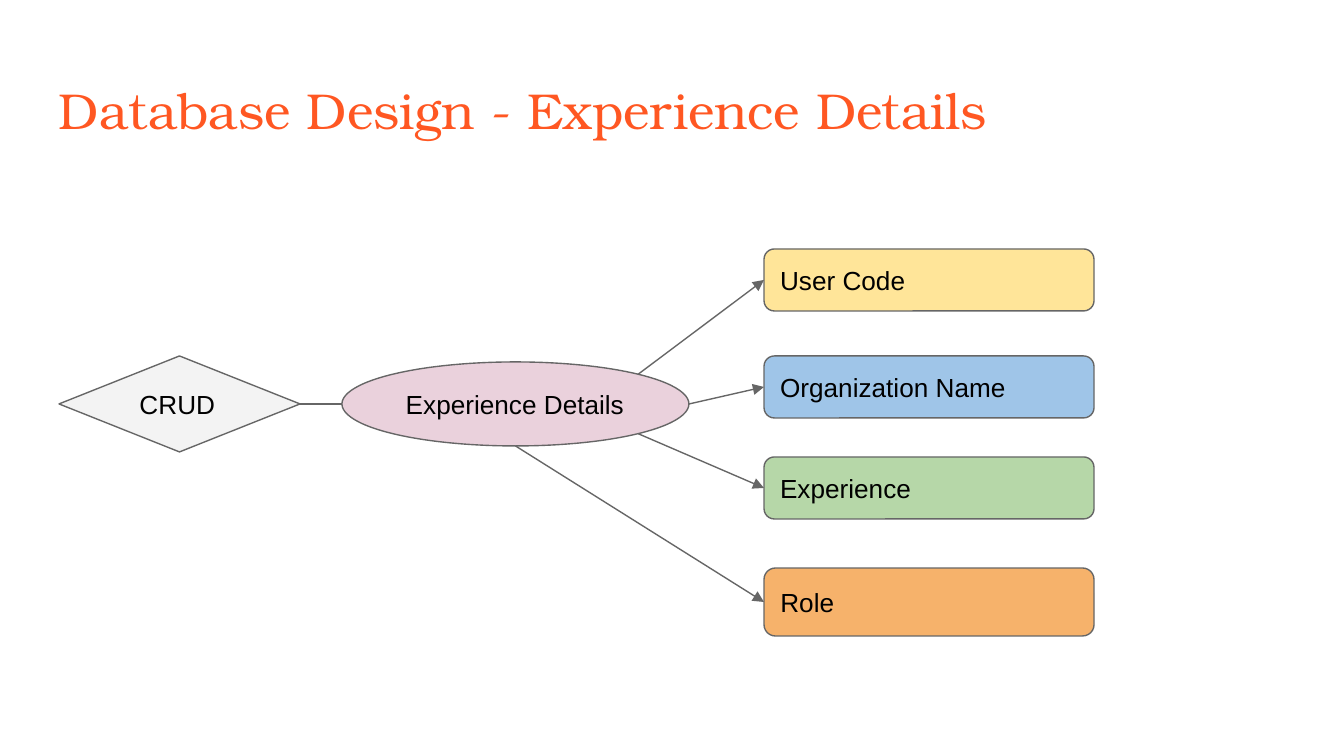
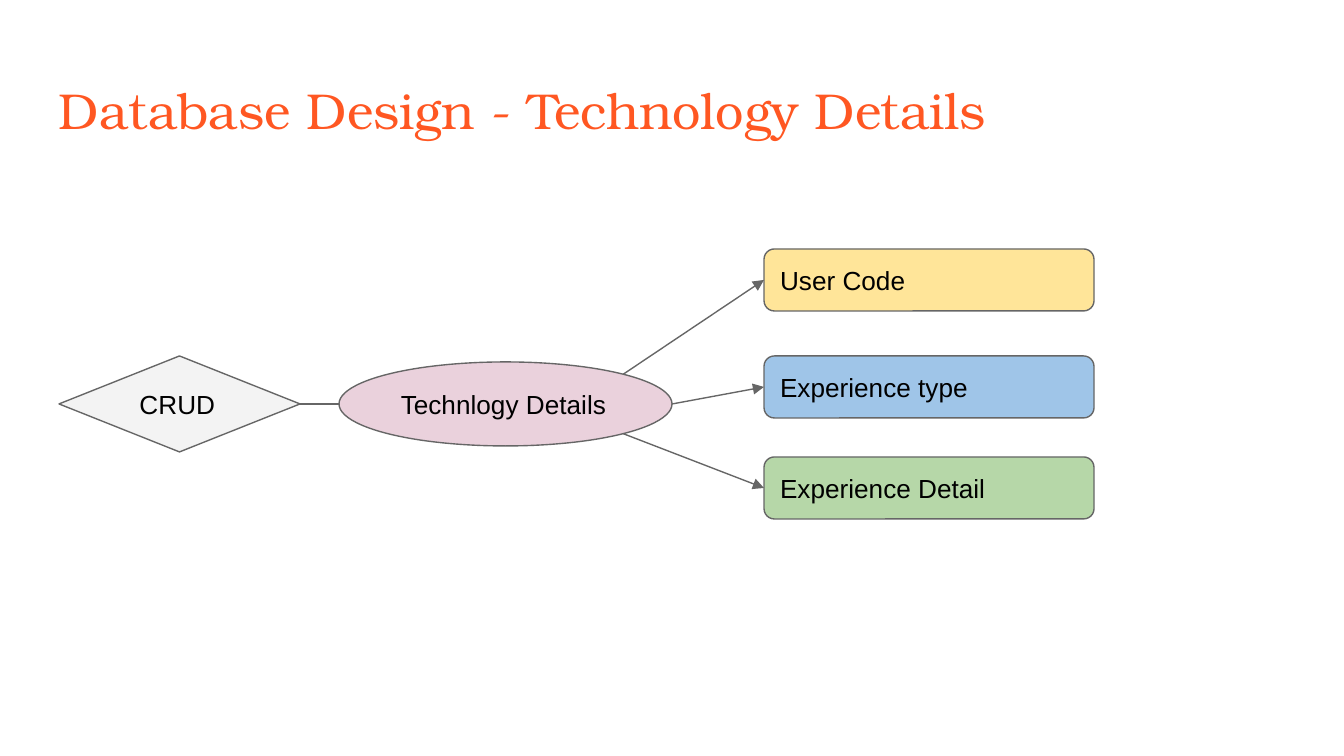
from dataclasses import dataclass
from math import cos, pi, sin

from lxml.etree import SubElement
from pptx import Presentation
from pptx.dml.color import RGBColor
from pptx.enum.shapes import MSO_CONNECTOR as Connector, MSO_SHAPE as Shape
from pptx.enum.text import MSO_ANCHOR as Anchor, MSO_AUTO_SIZE as AutoSize, PP_ALIGN as Align
from pptx.oxml.ns import qn
from pptx.util import Pt

ENTITIES = [
    {
        "title": "Database Design - Experience Details",
        "entity": "Experience Details",
        "entity_span": (342, 347),
        "fields": ["User Code", "Organization Name", "Experience", "Role"],
    },
    {
        "title": "Database Design - Technology Details",
        "entity": "Technlogy Details",
        "entity_span": (339, 333),
        "fields": ["User Code", "Experience type", "Experience Detail"],
    },
]
OPERATIONS = " CRUD"


@dataclass(frozen=True)
class Theme:
    title_font: str = "TeX Gyre Bonum"
    body_font: str = "Arial"
    title_size: int = 27
    body_size: int = 14
    title: str = "FF5722"
    text: str = "000000"
    outline: str = "666666"
    outline_width: float = 0.75
    operations: str = "F3F3F3"
    entity: str = "EAD1DC"
    fields: tuple = ("FFE599", "9FC5E8", "B6D7A8", "F6B26B")


THEME = Theme()
EMU_PER_INCH, PX_PER_INCH = 914400, 134.4
SLIDE_SIZE = (1344, 756)
TITLE_BOX = (46, 66, 1253, 85)
OPERATIONS_BOX = (59, 356, 241, 96)
ENTITY_TOP, ENTITY_HEIGHT = 362, 84
FIELD_LEFT, FIELD_WIDTH = 764, 330
FIELD_ROWS = [(249, 62), (356, 62), (457, 62), (568, 68)]
INSET = 13
DIAMOND_RIGHT, ELLIPSE_LEFT, FIELD_LEFT_SITE = 3, 2, 1
ELLIPSE_EXITS = [(7, -45), (6, 0), (5, 45), (4, 90)]


def px(length):
    return round(length * EMU_PER_INCH / PX_PER_INCH)


def rgb(value):
    return RGBColor.from_string(value)


def write(frame, text, font_name, size, color, anchor):
    frame.text = text
    frame.word_wrap = True
    frame.auto_size = AutoSize.NONE
    frame.vertical_anchor = anchor
    frame.margin_left = frame.margin_right = px(INSET)
    frame.margin_top = frame.margin_bottom = px(INSET)
    paragraph = frame.paragraphs[0]
    paragraph.alignment = Align.LEFT
    font = paragraph.runs[0].font
    font.name, font.size = font_name, Pt(size)
    font.color.rgb = rgb(color)


def add_title(slide, text):
    title = slide.shapes.title
    title.left, title.top, title.width, title.height = map(px, TITLE_BOX)
    write(title.text_frame, text, THEME.title_font, THEME.title_size,
          THEME.title, Anchor.TOP)


def draw_outline(line):
    line.color.rgb = rgb(THEME.outline)
    line.width = Pt(THEME.outline_width)


def add_node(slide, kind, box, text, fill):
    node = slide.shapes.add_shape(kind, *map(px, box))
    node.shadow.inherit = False
    node.fill.solid()
    node.fill.fore_color.rgb = rgb(fill)
    draw_outline(node.line)
    write(node.text_frame, text, THEME.body_font, THEME.body_size,
          THEME.text, Anchor.MIDDLE)
    return node


def add_link(slide, source, target, start, end, arrow=True):
    link = slide.shapes.add_connector(Connector.STRAIGHT, *map(px, start + end))
    draw_outline(link.line)
    if arrow:
        SubElement(link.line._get_or_add_ln(), qn("a:tailEnd"), type="triangle")
    SubElement(link._element.spPr, qn("a:effectLst"))
    glue = link._element.find(".//" + qn("p:cNvCxnSpPr"))
    for tag, (node, site) in (("a:stCxn", source), ("a:endCxn", target)):
        SubElement(glue, qn(tag), id=str(node.shape_id), idx=str(site))


def build_slide(deck, content):
    slide = deck.slides.add_slide(deck.slide_layouts[5])
    add_title(slide, content["title"])
    operations = add_node(slide, Shape.DIAMOND, OPERATIONS_BOX, OPERATIONS,
                          THEME.operations)
    left, width = content["entity_span"]
    entity = add_node(slide, Shape.OVAL, (left, ENTITY_TOP, width, ENTITY_HEIGHT),
                      content["entity"], THEME.entity)
    center_x, center_y = left + width / 2, ENTITY_TOP + ENTITY_HEIGHT / 2
    add_link(slide, (operations, DIAMOND_RIGHT), (entity, ELLIPSE_LEFT),
             (OPERATIONS_BOX[0] + OPERATIONS_BOX[2], center_y), (left, center_y),
             arrow=False)
    for name, (top, height), fill, (site, degrees) in zip(
            content["fields"], FIELD_ROWS, THEME.fields, ELLIPSE_EXITS):
        field = add_node(slide, Shape.ROUNDED_RECTANGLE,
                         (FIELD_LEFT, top, FIELD_WIDTH, height), name, fill)
        angle = degrees * pi / 180
        start = (center_x + width / 2 * cos(angle),
                 center_y + ENTITY_HEIGHT / 2 * sin(angle))
        add_link(slide, (entity, site), (field, FIELD_LEFT_SITE),
                 start, (FIELD_LEFT, top + height / 2))


def main():
    deck = Presentation()
    deck.slide_width, deck.slide_height = map(px, SLIDE_SIZE)
    for content in ENTITIES:
        build_slide(deck, content)
    deck.save("out.pptx")


if __name__ == "__main__":
    main()
